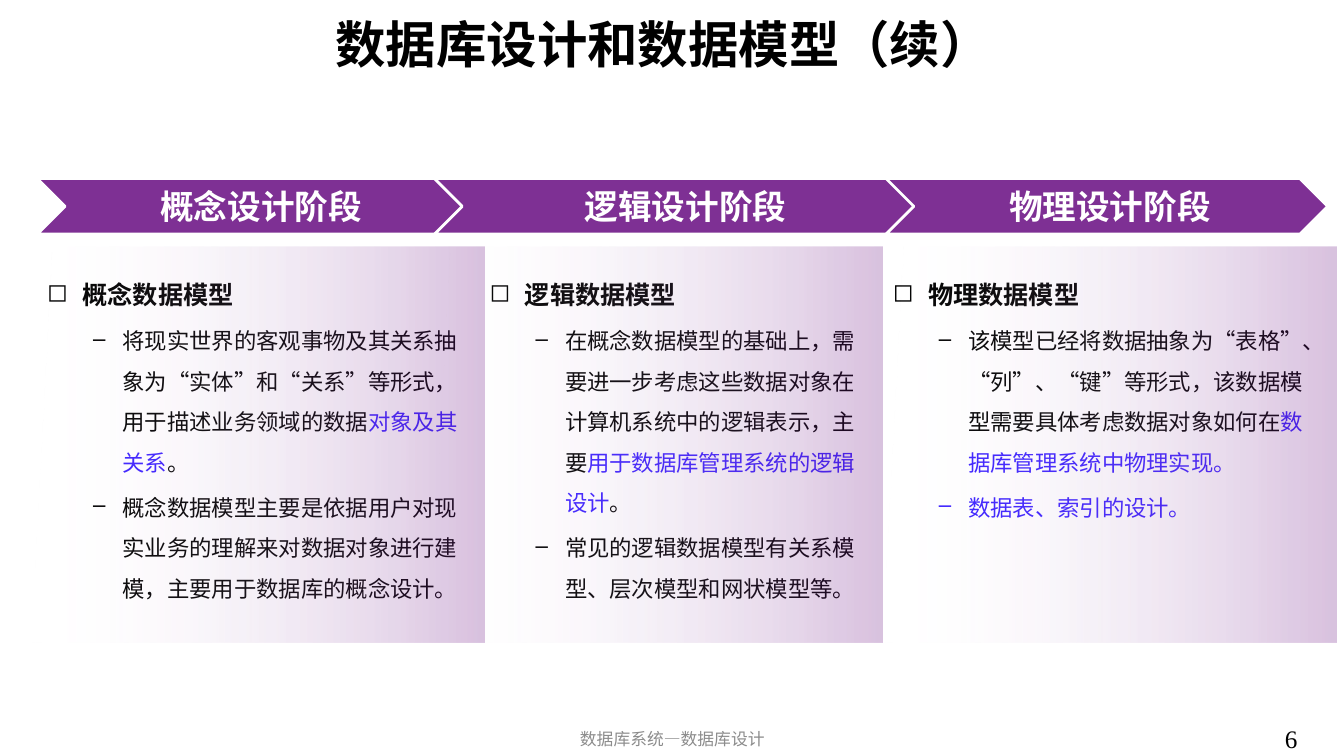
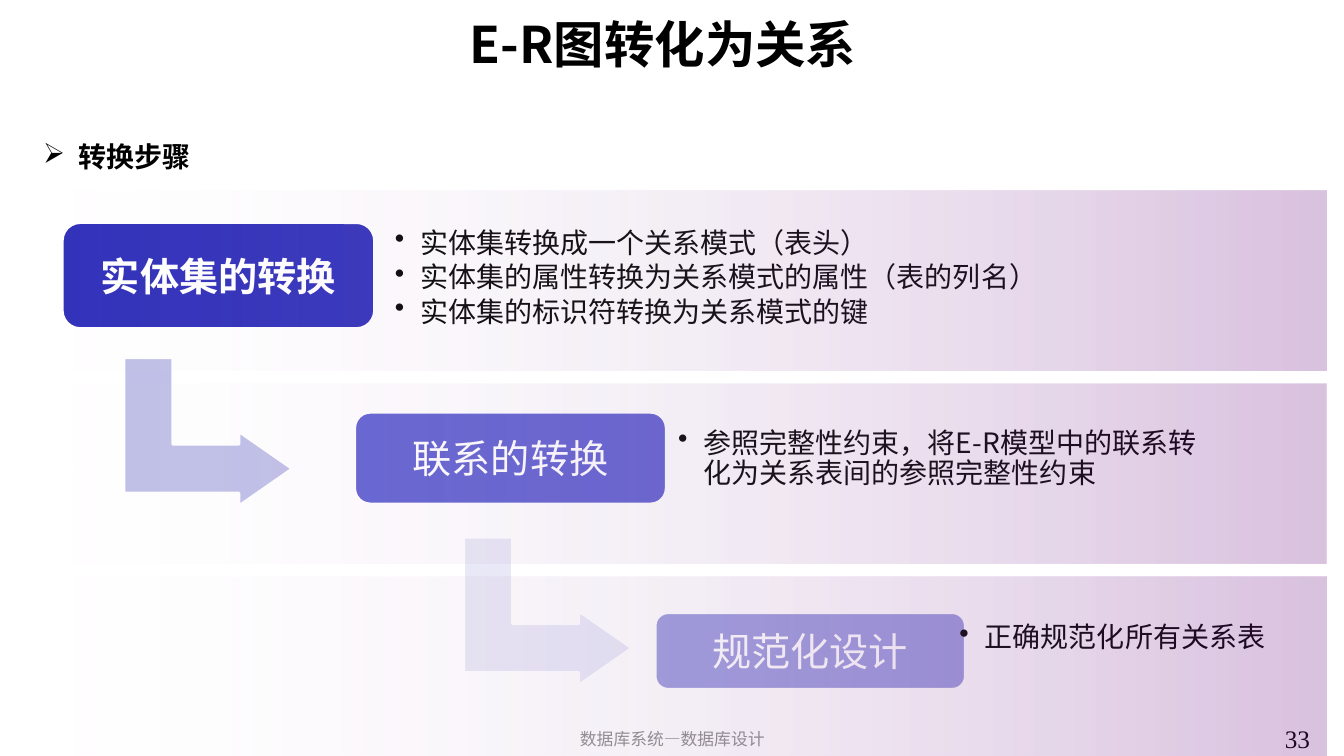
"""Build two database design slides: design stages and E-R conversion steps."""
from dataclasses import dataclass

import pptx
import pptx.dml.color
import pptx.enum.shapes
import pptx.enum.text
import pptx.oxml
import pptx.oxml.ns
import pptx.util
from pptx.util import Cm, Pt

SHAPES = pptx.enum.shapes.MSO_SHAPE
ANCHOR = pptx.enum.text.MSO_ANCHOR
ALIGN = pptx.enum.text.PP_ALIGN
qn = pptx.oxml.ns.qn


@dataclass(frozen=True)
class Theme:
    font: str = "Noto Sans CJK SC"
    number_font: str = "Times New Roman"
    black: str = "000000"
    white: str = "FFFFFF"
    accent: str = "3B20FF"
    footer: str = "8C8C8C"
    chevron: str = "7E3094"
    band: str = "6F1787"
    steps: tuple = ("2E2EB9", "6060D0", "9C9CDD")
    arrows: tuple = ("BFBFE7", "E8E8F6")
    title_size: int = 36
    step_size: int = 28
    chevron_size: int = 24
    bullet_size: int = 20
    heading_size: int = 18
    body_size: int = 16
    number_size: int = 18
    footer_size: int = 12


def rgb(color):
    return pptx.dml.color.RGBColor.from_string(color)


def add_child(parent, tag, **attributes):
    child = pptx.oxml.parse_xml(f"<{tag} {pptx.oxml.ns.nsdecls('a')}/>")
    for name, value in attributes.items():
        child.set(name, value)
    parent.append(child)


class Deck:
    def __init__(self, theme):
        self.theme = theme
        self.presentation = pptx.Presentation()
        self.presentation.slide_width = Cm(33.87)
        self.presentation.slide_height = Cm(19.05)
        self.slide = None

    def add_slide(self, title):
        theme = self.theme
        layout = self.presentation.slide_layouts[6]
        self.slide = self.presentation.slides.add_slide(layout)
        frame = self.text_box(2.69, 0.15, 28.04, 1.88, ANCHOR.MIDDLE)
        self.line(frame, title, theme.title_size, bold=True, align=ALIGN.CENTER)

    def add_footer(self, number):
        theme = self.theme
        frame = self.text_box(32.13, 18.11, 1.7, 0.94)
        self.line(frame, number, theme.number_size, font=theme.number_font)
        frame = self.text_box(11.23, 18.19, 11.43, 0.86, ANCHOR.MIDDLE)
        self.line(frame, "数据库系统—数据库设计", theme.footer_size,
                  theme.footer, align=ALIGN.CENTER)

    def text_box(self, left, top, width, height, anchor=ANCHOR.TOP, margin=None):
        box = self.slide.shapes.add_textbox(Cm(left), Cm(top), Cm(width), Cm(height))
        frame = box.text_frame
        frame.word_wrap = True
        frame.vertical_anchor = anchor
        if margin is not None:
            self.set_margins(frame, margin, margin)
        return frame

    def set_margins(self, frame, left, others):
        frame.margin_left = Cm(left)
        frame.margin_top = frame.margin_right = frame.margin_bottom = Cm(others)

    def format_run(self, run, size, color, bold, font):
        run.font.size = Pt(size)
        run.font.bold = bold
        run.font.name = font
        run.font.color.rgb = rgb(color)
        properties = run.font._element
        properties.set("lang", "zh-CN")
        add_child(properties, "a:ea", typeface=font)

    def line(self, frame, text, size, color=None, bold=False, align=ALIGN.LEFT,
             font=None):
        paragraph = frame.paragraphs[0]
        paragraph.text = text
        paragraph.alignment = align
        self.format_run(paragraph.runs[0], size, color or self.theme.black, bold,
                        font or self.theme.font)

    def bullet(self, frame, parts, size, mark, indent, hanging, spacing,
               before=0, after=0, bold=False):
        first = frame.paragraphs[0]
        is_first = not first.runs
        paragraph = first if is_first else frame.add_paragraph()
        properties = paragraph._p.get_or_add_pPr()
        properties.set("marL", str(Cm(indent)))
        properties.set("indent", str(-Cm(hanging)))
        add_child(properties, "a:buChar", char=mark)
        paragraph.line_spacing = Pt(spacing)
        paragraph.space_before = Pt(0 if is_first else before)
        paragraph.space_after = Pt(after)
        for text, color in parts:
            run = paragraph.add_run()
            run.text = text
            self.format_run(run, size, color, bold, self.theme.font)

    def model_column(self, left, width, heading, items):
        theme = self.theme
        frame = self.text_box(left, 6.53, width, 7.8)
        self.bullet(frame, [(heading, theme.black)], theme.heading_size, "◻",
                    0.89, 0.89, 32.4, bold=True)
        for parts in items:
            self.bullet(frame, parts, theme.body_size, "–", 1.9, 0.74, 28.9,
                        before=3.2)

    def step_notes(self, left, top, width, notes):
        theme = self.theme
        frame = self.text_box(left, top, width, 3.56, ANCHOR.MIDDLE, 0.2)
        for note in notes:
            self.bullet(frame, [(note, theme.black)], theme.bullet_size, "•",
                        0.64, 0.64, 21.6, after=3)

    def block(self, kind, left, top, width, height, color):
        shape = self.slide.shapes.add_shape(
            kind, Cm(left), Cm(top), Cm(width), Cm(height))
        shape.shadow.inherit = False
        shape.fill.solid()
        shape.fill.fore_color.rgb = rgb(color)
        shape.line.color.rgb = rgb(self.theme.white)
        shape.line.width = Pt(2)
        return shape

    def label(self, shape, text, size, bold, left_margin, margin):
        frame = shape.text_frame
        frame.word_wrap = True
        frame.vertical_anchor = ANCHOR.MIDDLE
        self.set_margins(frame, left_margin, margin)
        self.line(frame, text, size, self.theme.white, bold, ALIGN.CENTER)

    def chevron(self, left, width, text):
        shape = self.block(SHAPES.CHEVRON, left, 4.5, width, 1.4, self.theme.chevron)
        self.label(shape, text, self.theme.chevron_size, True, 0.25, 0.1)

    def step(self, left, top, width, height, text, color, bold):
        shape = self.block(SHAPES.ROUNDED_RECTANGLE, left, top, width, height, color)
        shape.adjustments[0] = 0.17
        self.label(shape, text, self.theme.step_size, bold, 0.3, 0.3)

    def bent_arrow(self, left, top, color):
        shape = self.block(SHAPES.BENT_UP_ARROW, left, top, 3.73, 4.24, color)
        shape.rotation = 90
        for index, value in enumerate((0.33, 0.25, 0.36)):
            shape.adjustments[index] = value

    def gradient_band(self, left, top, width, height, slant):
        right, bottom = left + width, top + height
        builder = self.slide.shapes.build_freeform(Cm(right), Cm(bottom))
        corners = [(left, bottom), (left + slant, top), (right, top)]
        builder.add_line_segments([(Cm(x), Cm(y)) for x, y in corners], close=True)
        shape = builder.convert_to_shape()
        shape.shadow.inherit = False
        shape.line.fill.background()
        shape.fill.gradient()
        shape.fill.gradient_angle = 0
        settings = ((0, self.theme.white, 0), (0.99, self.theme.band, 26))
        for stop, (position, color, opacity) in zip(shape.fill.gradient_stops, settings):
            stop.position = position
            stop.color.rgb = rgb(color)
        colors = shape._element.spPr.iter(qn("a:srgbClr"))
        for element, (position, color, opacity) in zip(colors, settings):
            add_child(element, "a:alpha", val=str(opacity * 1000))


def build_design_stages(deck):
    black, accent = deck.theme.black, deck.theme.accent
    deck.add_slide("数据库设计和数据模型（续）")
    for left, width, text in (
        (0.94, 11.13, "概念设计阶段"),
        (10.95, 12.5, "逻辑设计阶段"),
        (22.33, 11.13, "物理设计阶段"),
    ):
        deck.chevron(left, width, text)
    deck.model_column(0.94, 11.15, "概念数据模型", [
        [("将现实世界的客观事物及其关系抽象为“实体”和“关系”等形式，用于描述业务领域的数据", black),
         ("对象及其关系", accent), ("。", black)],
        [("概念数据模型主要是依据用户对现实业务的理解来对数据对象进行建模，主要用于数据库的概念设计。", black)],
    ])
    deck.model_column(12.09, 10.16, "逻辑数据模型", [
        [("在概念数据模型的基础上，需要进一步考虑这些数据对象在计算机系统中的逻辑表示，主要", black),
         ("用于数据库管理系统的逻辑设计", accent), ("。", black)],
        [("常见的逻辑数据模型有关系模型、层次模型和网状模型等。", black)],
    ])
    deck.model_column(22.25, 11.2, "物理数据模型", [
        [("该模型已经将数据抽象为“表格”、“列”、“键”等形式，该数据模型需要具体考虑数据对象如何在", black),
         ("数据库管理系统中物理实现。", accent)],
        [("数据表、索引的设计。", accent)],
    ])
    deck.add_footer("6")
    for left in (22.25, 10.82, 0.79):
        deck.gradient_band(left, 6.22, 11.43, 9.96, 0.53)


def build_conversion_steps(deck):
    theme = deck.theme
    deck.add_slide("E-R图转化为关系")
    for left, top, color in zip((3.38, 11.94), (8.76, 13.28), theme.arrows):
        deck.bent_arrow(left, top, color)
    steps = (
        ((1.57, 5.61, 7.87, 2.67), "实体集的转换", True, (9.75, 5.23, 17.09),
         ["实体集转换成一个关系模式（表头）",
          "实体集的属性转换为关系模式的属性（表的列名）",
          "实体集的标识符转换为关系模式的键"]),
        ((8.94, 10.39, 7.85, 2.31), "联系的转换", False, (16.89, 9.78, 13.56),
         ["参照完整性约束，将E-R模型中的联系转化为关系表间的参照完整性约束"]),
        ((16.51, 15.44, 7.82, 1.93), "规范化设计", False, (23.98, 14.3, 8.33),
         ["正确规范化所有关系表"]),
    )
    for color, (box, text, bold, notes_box, notes) in zip(theme.steps, steps):
        deck.step(*box, text, color, bold)
        deck.step_notes(*notes_box, notes)
    frame = deck.text_box(0.84, 3.33, 32, 1.2)
    deck.bullet(frame, [("转换步骤", theme.black)], theme.bullet_size, "➢",
                0.89, 0.89, 26, bold=True)
    deck.add_footer("33")
    for row in range(3):
        deck.gradient_band(-0.84, 4.8 + 4.86 * row, 34.27, 4.53, 1.6)


def main():
    deck = Deck(Theme())
    build_design_stages(deck)
    build_conversion_steps(deck)
    deck.presentation.save("out.pptx")


if __name__ == "__main__":
    main()
